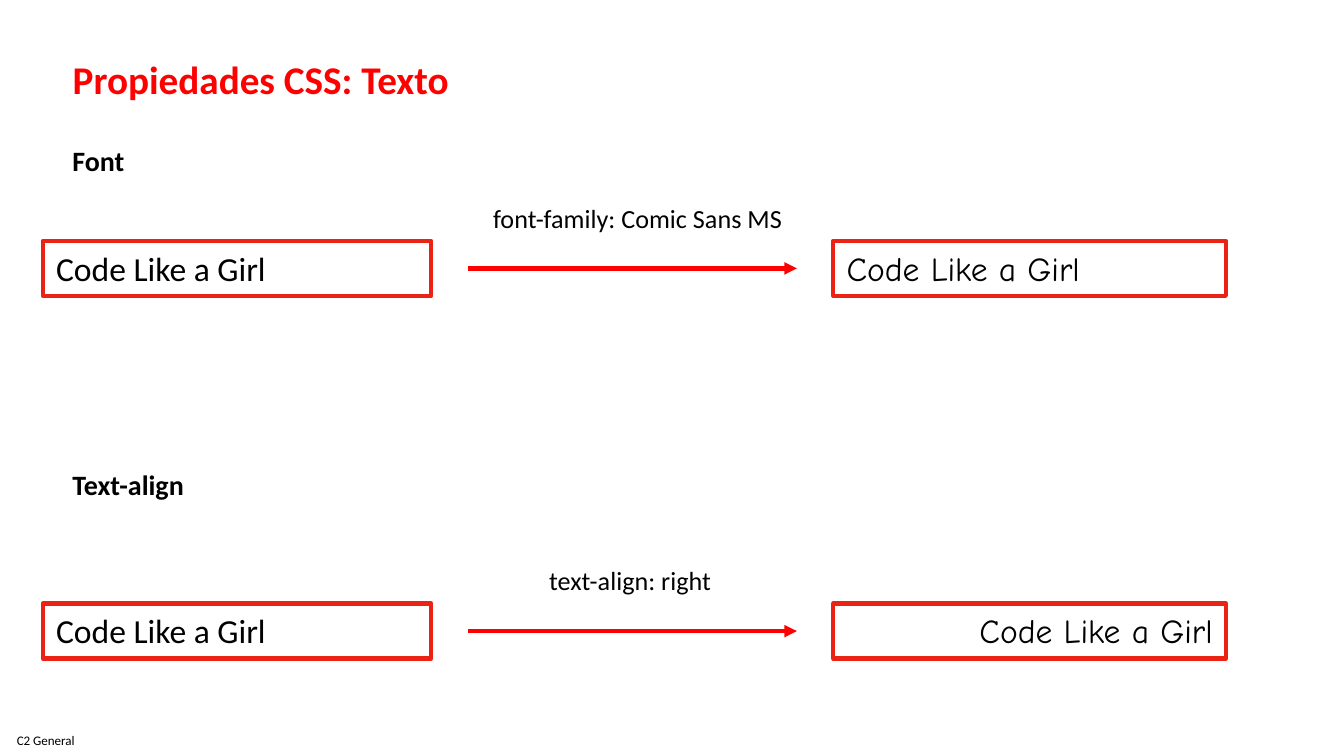
import pptx
import pptx.dml.color
import pptx.enum.shapes
import pptx.enum.text
import pptx.util
from lxml import etree

Cm, Pt = pptx.util.Cm, pptx.util.Pt
Align = pptx.enum.text.PP_ALIGN
Anchor = pptx.enum.text.MSO_ANCHOR
Shape = pptx.enum.shapes.MSO_SHAPE
NS = "{http://schemas.openxmlformats.org/drawingml/2006/main}"


def color(code):
    return pptx.dml.color.RGBColor.from_string(code)


def write(frame, text, size=14, font="Calibri", ink="000000", bold=False,
          align=Align.LEFT, anchor=Anchor.TOP, inset=None):
    frame.word_wrap = True
    frame.auto_size = pptx.enum.text.MSO_AUTO_SIZE.NONE
    frame.vertical_anchor = anchor
    if inset is not None:
        frame.margin_left = frame.margin_right = Cm(inset)
        frame.margin_top = frame.margin_bottom = Cm(inset)
    par = frame.paragraphs[0]
    par.alignment = align
    run = par.add_run()
    run.text = text
    run.font.size = Pt(size)
    run.font.name = font
    run.font.bold = bold
    run.font.color.rgb = color(ink)


class Deck:
    red = "FF0000"
    edge = "EA2314"
    stroke = 2.25

    def __init__(self, slide):
        self.slide = slide

    def title(self, text, x, y, w, h):
        head = self.slide.shapes.title
        head.left, head.top, head.width, head.height = map(Cm, (x, y, w, h))
        write(head.text_frame, text, size=21, ink=self.red, bold=True)

    def label(self, text, x, y, w, h, **style):
        box = self.slide.shapes.add_textbox(*map(Cm, (x, y, w, h)))
        write(box.text_frame, text, **style)

    def frame(self, text, x, y, w, h, **style):
        box = self.slide.shapes.add_shape(Shape.RECTANGLE, *map(Cm, (x, y, w, h)))
        box.shadow.inherit = False
        box.fill.background()
        box.line.color.rgb = color(self.edge)
        box.line.width = Pt(self.stroke)
        write(box.text_frame, text, size=18, **style)

    def arrow(self, x, y, end):
        kind = pptx.enum.shapes.MSO_CONNECTOR.STRAIGHT
        link = self.slide.shapes.add_connector(kind, Cm(x), Cm(y), Cm(end), Cm(y))
        link.line.color.rgb = color(self.red)
        link.line.width = Pt(self.stroke)
        etree.SubElement(link.line._get_or_add_ln(), NS + "tailEnd", type="triangle")
        etree.SubElement(link._element.spPr, NS + "effectLst")


def main():
    show = pptx.Presentation()
    show.slide_width, show.slide_height = Cm(25.4), Cm(14.28)
    deck = Deck(show.slides.add_slide(show.slide_layouts[5]))

    # Title and footer
    deck.title("Propiedades CSS: Texto", 1.12, 0.91, 9.42, 1.14)
    deck.label("C2 General", 0, 13.69, 1.73, 0.58, size=7, inset=0,
               align=Align.CENTER, anchor=Anchor.MIDDLE)

    # Each example: heading, heading top, rule, rule left and width, row top, result side
    rows = [
        ("Font", 2.59, "font-family: Comic Sans MS", 9.07, 6.12, 4.55, Align.LEFT),
        ("Text-align", 8.71, "text-align: right", 10.13, 4.27, 11.4, Align.RIGHT),
    ]
    sample = "Code Like a Girl"
    for head, top, rule, left, wide, y, side in rows:
        deck.label(head, 1.12, top, 4.85, 0.89, size=15, bold=True)
        deck.frame(sample, 0.81, y, 7.34, 1.04)
        deck.frame(sample, 15.75, y, 7.42, 1.04, font="Comic Neue", align=side)
        deck.arrow(8.84, y + 0.52, 15.06)
        deck.label(rule, left, y - 0.86, wide, 0.86)

    show.save("out.pptx")


if __name__ == "__main__":
    main()
